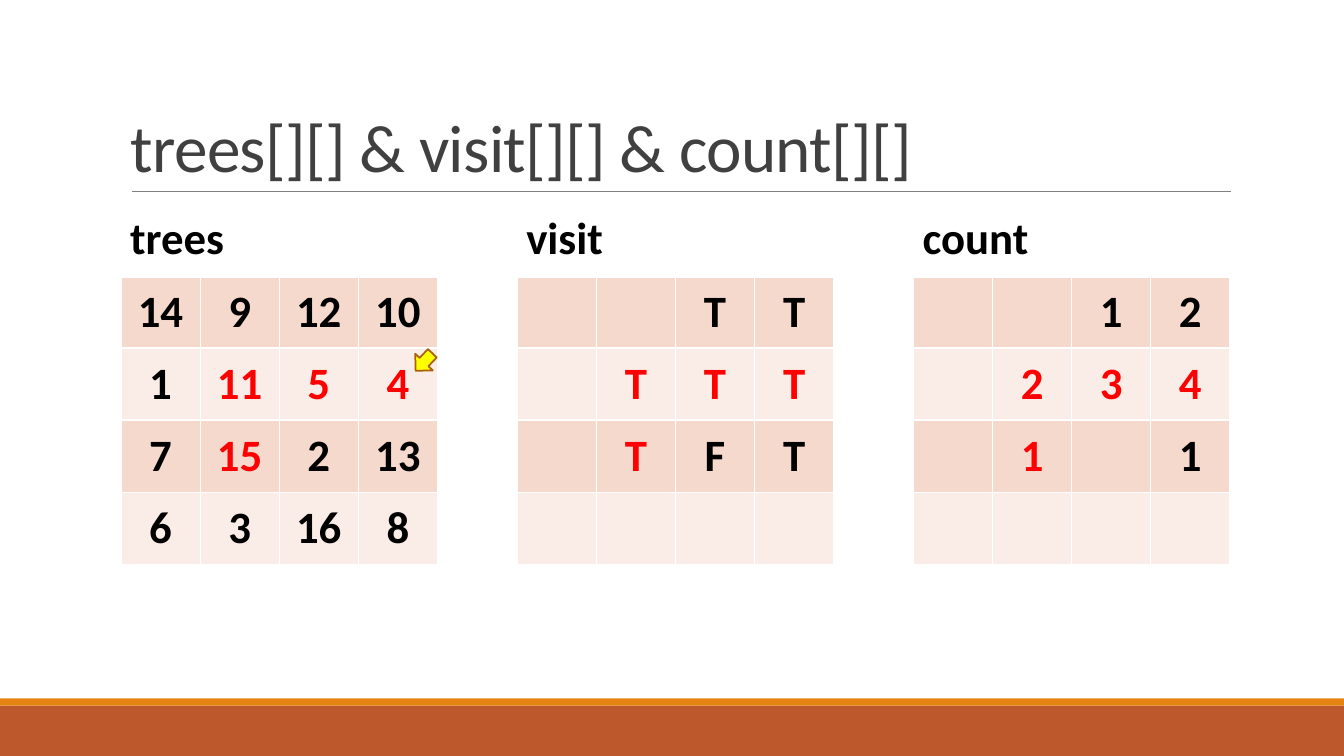
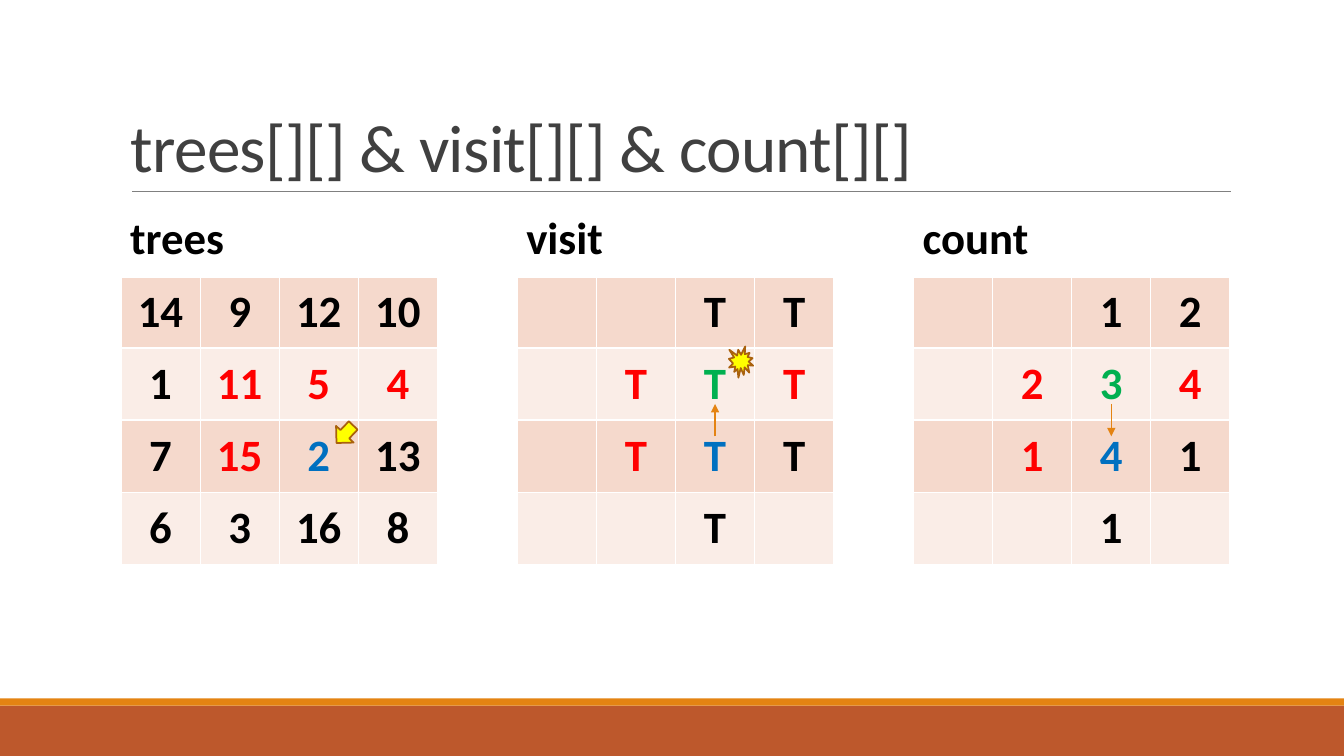
from dataclasses import dataclass
from typing import Any, NamedTuple

from lxml import etree
from pptx import Presentation
from pptx.dml.color import RGBColor
from pptx.enum.shapes import MSO_CONNECTOR, MSO_SHAPE
from pptx.enum.text import MSO_ANCHOR, PP_ALIGN
from pptx.oxml.ns import qn
from pptx.util import Inches, Pt

RECT = MSO_SHAPE.RECTANGLE
ARROW = MSO_SHAPE.RIGHT_ARROW
BURST = MSO_SHAPE.EXPLOSION1
STRAIGHT = MSO_CONNECTOR.STRAIGHT
MIDDLE, BOTTOM = MSO_ANCHOR.MIDDLE, MSO_ANCHOR.BOTTOM
LEFT, CENTER = PP_ALIGN.LEFT, PP_ALIGN.CENTER


@dataclass(frozen=True)
class Theme:
    font: str = "Calibri"
    title_size: float = 48
    cell_size: float = 32
    title: str = "404040"
    text: str = "000000"
    white: str = "FFFFFF"
    red: str = "FF0000"
    green: str = "00B050"
    blue: str = "0070C0"
    rule: str = "808080"
    footer: str = "BD582C"
    accent: str = "E48312"
    dark_row: str = "F5D9CC"
    light_row: str = "FAEDE7"
    marker: str = "FFFF00"
    marker_line: str = "A9610D"


class Marker(NamedTuple):
    kind: Any
    grid: int
    row: int
    col: int
    height: float = 0.24
    rotation: float = 0


class Link(NamedTuple):
    grid: int
    row: int
    col: int
    up: bool


class Grid(NamedTuple):
    name: str
    rows: tuple[str, ...]


class Step(NamedTuple):
    grids: tuple[Grid, ...]
    markers: tuple[Marker, ...]
    links: tuple[Link, ...] = ()


THEME = Theme()
TINTS = {"": THEME.text, "r": THEME.red, "g": THEME.green, "b": THEME.blue}
SLIDE_W, SLIDE_H = 13.33, 7.5
TITLE = "trees[][] & visit[][] & count[][]"
GRID_X, GRID_Y, GRID_W, GRID_H = 1.2, 2.02, 3.14, 3.58
GRID_STEP = 3.93
SIZE = 4
COL_W, ROW_H = GRID_W / SIZE, GRID_H / (SIZE + 1)
MARKER_W, MARKER_DX, MARKER_DY = 0.24, 0.65, 0.14
LINK_HALF = 0.16
POINTER_ANGLE = 133.5

STEPS = (
    Step(
        (
            Grid("trees", ("14 9 12 10", "1 11:r 5:r 4:r", "7 15:r 2 13", "6 3 16 8")),
            Grid("visit", (". . T T", ". T:r T:r T:r", ". T:r F T", ". . . .")),
            Grid("count", (". . 1 2", ". 2:r 3:r 4:r", ". 1:r . 1", ". . . .")),
        ),
        (Marker(ARROW, 0, 1, 3, rotation=POINTER_ANGLE),),
    ),
    Step(
        (
            Grid("trees", ("14 9 12 10", "1 11:r 5:r 4:r", "7 15:r 2:b 13", "6 3 16 8")),
            Grid("visit", (". . T T", ". T:r T:g T:r", ". T:r T:b T", ". . T .")),
            Grid("count", (". . 1 2", ". 2:r 3:g 4:r", ". 1:r 4:b 1", ". . 1 .")),
        ),
        (
            Marker(ARROW, 0, 2, 2, rotation=POINTER_ANGLE),
            Marker(BURST, 1, 1, 2, height=0.31),
        ),
        (Link(2, 2, 2, up=False), Link(1, 2, 2, up=True)),
    ),
)


def rgb(color: str) -> RGBColor:
    return RGBColor.from_string(color)


def apply(target: Any, values: dict[str, Any]) -> None:
    for name, value in values.items():
        setattr(target, name, value)


def write(p: Any, text: str, size: float, color: str, bold: bool = False) -> Any:
    r = p.add_run()
    r.text = text
    apply(r.font, {"name": THEME.font, "size": Pt(size), "bold": bold})
    r.font.color.rgb = rgb(color)
    return r


def add_shape(slide: Any, kind: Any, x: float, y: float, w: float, h: float, fill: str) -> Any:
    sp = slide.shapes.add_shape(kind, Inches(x), Inches(y), Inches(w), Inches(h))
    sp.shadow.inherit = False
    sp.fill.solid()
    sp.fill.fore_color.rgb = rgb(fill)
    sp.line.fill.background()
    return sp


def add_line(slide: Any, x1: float, y1: float, x2: float, y2: float,
             color: str, width: float, arrow: bool = False) -> None:
    line = slide.shapes.add_connector(STRAIGHT, Inches(x1), Inches(y1), Inches(x2), Inches(y2))
    line.line.color.rgb = rgb(color)
    line.line.width = Pt(width)
    if arrow:
        etree.SubElement(line.line._get_or_add_ln(), qn("a:tailEnd"), type="triangle")
    etree.SubElement(line._element.spPr, qn("a:effectLst"))


def add_frame(slide: Any) -> None:
    add_shape(slide, RECT, 0, 7, SLIDE_W, 0.5, THEME.footer)
    add_shape(slide, RECT, 0, 6.93, SLIDE_W, 0.07, THEME.accent)
    add_line(slide, 1.31, 1.9, 12.21, 1.9, THEME.rule, 0.5)
    tf = slide.shapes.add_textbox(Inches(1.2), Inches(0.31), Inches(11), Inches(1.59)).text_frame
    apply(tf, {"word_wrap": True, "vertical_anchor": BOTTOM})
    p = tf.paragraphs[0]
    p.line_spacing = 0.85
    r = write(p, TITLE, THEME.title_size, THEME.title)
    r._r.get_or_add_rPr().set("spc", "-50")


def set_borders(cell: Any, widths: dict[str, float]) -> None:
    tc_pr = cell._tc.get_or_add_tcPr()
    for side, width in widths.items():
        ln = etree.SubElement(tc_pr, qn(f"a:ln{side}"), w=str(Pt(width)))
        fill = etree.SubElement(ln, qn("a:solidFill"))
        etree.SubElement(fill, qn("a:srgbClr"), val=THEME.white)


def format_cell(cell: Any, row: int) -> None:
    header = row == 0
    set_borders(cell, {"L": 1, "R": 1, "T": 3 if row == 1 else 1, "B": 3 if header else 1})
    cell.fill.solid()
    band = THEME.dark_row if row % 2 else THEME.light_row
    cell.fill.fore_color.rgb = rgb(THEME.white if header else band)
    side, edge = (0.09, 0.05) if header else (0.08, 0.04)
    apply(cell, {
        "vertical_anchor": MIDDLE,
        "margin_left": Inches(side), "margin_right": Inches(side),
        "margin_top": Inches(edge), "margin_bottom": Inches(edge),
    })
    cell.text_frame.paragraphs[0].alignment = LEFT if header else CENTER


def add_grid(slide: Any, index: int, grid: Grid) -> None:
    table = slide.shapes.add_table(
        SIZE + 1, SIZE, Inches(GRID_X + index * GRID_STEP), Inches(GRID_Y),
        Inches(GRID_W), Inches(GRID_H)).table
    apply(table, {"first_row": False, "horz_banding": False})
    for row in range(SIZE + 1):
        for col in range(SIZE):
            format_cell(table.cell(row, col), row)
    header = table.cell(0, 0)
    header.merge(table.cell(0, SIZE - 1))
    write(header.text_frame.paragraphs[0], grid.name, THEME.cell_size, THEME.text, True)
    for row, values in enumerate(grid.rows, 1):
        for col, value in enumerate(values.split()):
            text, _, tint = value.partition(":")
            if text != ".":
                p = table.cell(row, col).text_frame.paragraphs[0]
                write(p, text, THEME.cell_size, TINTS[tint], True)


def cell_origin(grid: int, row: int, col: int) -> tuple[float, float]:
    return GRID_X + grid * GRID_STEP + col * COL_W, GRID_Y + (row + 1) * ROW_H


def add_marker(slide: Any, marker: Marker) -> None:
    x, y = cell_origin(marker.grid, marker.row, marker.col)
    sp = add_shape(slide, marker.kind, x + MARKER_DX - MARKER_W / 2,
                   y + MARKER_DY - marker.height / 2, MARKER_W, marker.height, THEME.marker)
    sp.rotation = marker.rotation
    sp.line.color.rgb = rgb(THEME.marker_line)
    sp.line.width = Pt(1.25)


def add_link(slide: Any, link: Link) -> None:
    x, y = cell_origin(link.grid, link.row, link.col)
    x += COL_W / 2
    reach = -LINK_HALF if link.up else LINK_HALF
    add_line(slide, x, y - reach, x, y + reach, THEME.accent, 1, arrow=True)


def add_step(prs: Any, step: Step) -> None:
    slide = prs.slides.add_slide(prs.slide_layouts[6])
    add_frame(slide)
    for index, grid in enumerate(step.grids):
        add_grid(slide, index, grid)
    for marker in step.markers:
        add_marker(slide, marker)
    for link in step.links:
        add_link(slide, link)


def main() -> None:
    prs = Presentation()
    apply(prs, {"slide_width": Inches(SLIDE_W), "slide_height": Inches(SLIDE_H)})
    for step in STEPS:
        add_step(prs, step)
    prs.save("out.pptx")


if __name__ == "__main__":
    main()
